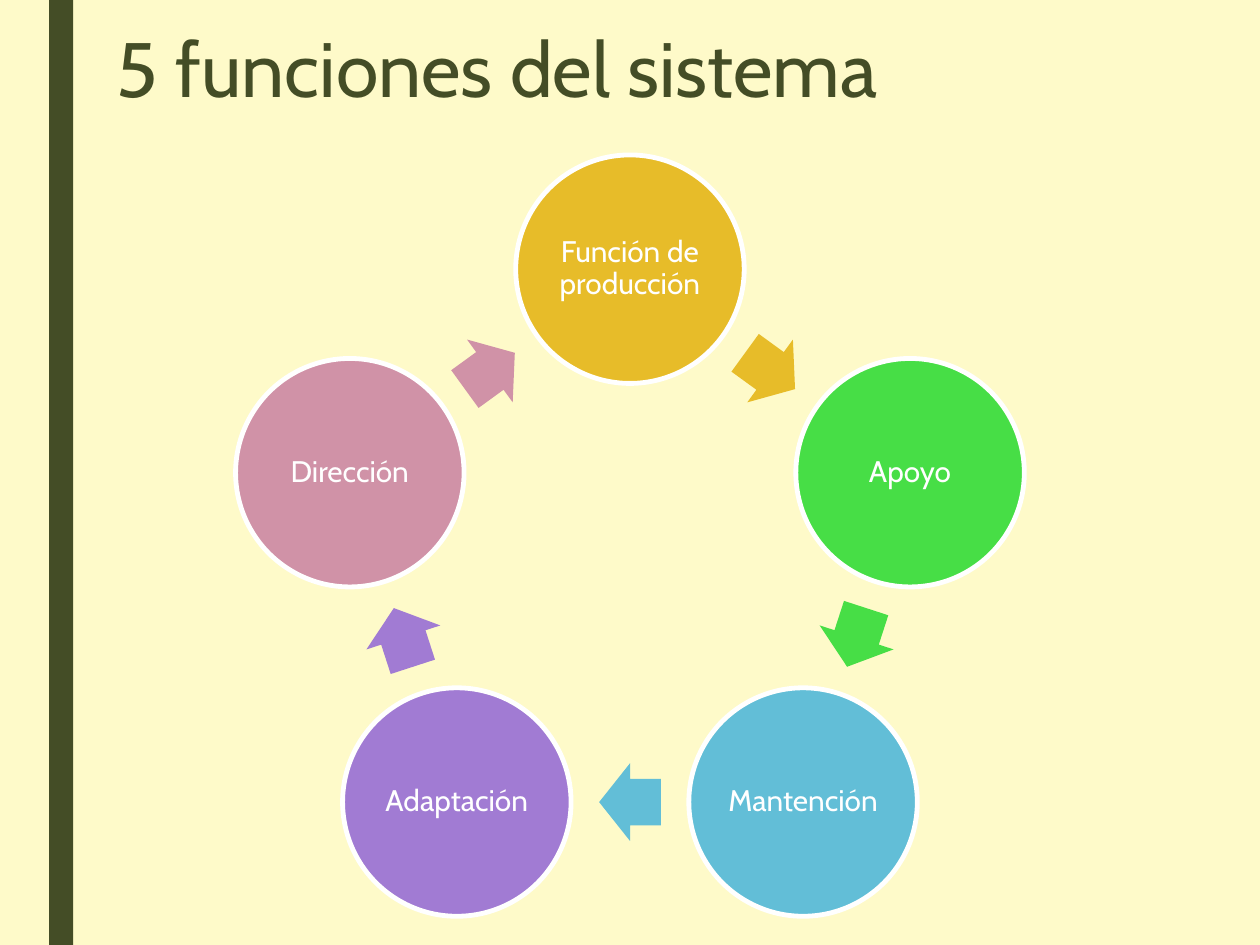
from dataclasses import dataclass
from math import cos, radians, sin

from pptx import Presentation
from pptx.dml.color import RGBColor
from pptx.enum.shapes import MSO_SHAPE as Preset
from pptx.enum.text import MSO_ANCHOR as Anchor, PP_ALIGN as Align
from pptx.util import Inches, Pt

COLORS = {
    "cream": "FEFAC9",
    "olive": "444D26",
    "white": "FFFFFF",
    "gold": "E7BC29",
    "green": "47DE46",
    "blue": "62BED7",
    "purple": "A17BD3",
    "pink": "D092A7",
}
FUNCTIONS = [
    ("Función de producción", "gold"),
    ("Apoyo", "green"),
    ("Mantención", "blue"),
    ("Adaptación", "purple"),
    ("Dirección", "pink"),
]


@dataclass
class Box:
    left: float
    top: float
    width: float
    height: float

    def percent(self, left, top, width, height):
        across, down = self.width / 100, self.height / 100
        return Box(self.left + left * across, self.top + top * down,
                   width * across, height * down)

    def place(self):
        return [Inches(length) for length in (self.left, self.top, self.width, self.height)]


def centred(x, y, width, height):
    return Box(x - width / 2, y - height / 2, width, height)


def rgb(name):
    return RGBColor.from_string(COLORS[name])


def write_text(shape, text, size, color, align=Align.LEFT, anchor=Anchor.TOP,
               spacing=0.9, inset_x=0.1, inset_y=0.05):
    frame = shape.text_frame
    frame.word_wrap = True
    frame.vertical_anchor = anchor
    frame.margin_left = frame.margin_right = Inches(inset_x)
    frame.margin_top = frame.margin_bottom = Inches(inset_y)
    paragraph = frame.paragraphs[0]
    paragraph.alignment = align
    paragraph.line_spacing = spacing
    run = paragraph.add_run()
    run.text = text
    run.font.name = "Cabin"
    run.font.size = Pt(size)
    run.font.color.rgb = rgb(color)


def add_filled(slide, preset, box, fill, outline=None):
    shape = slide.shapes.add_shape(preset, *box.place())
    shape.shadow.inherit = False
    shape.fill.solid()
    shape.fill.fore_color.rgb = rgb(fill)
    if outline:
        shape.line.color.rgb = rgb(outline)
        shape.line.width = Pt(2.75)
    else:
        shape.line.fill.background()
    return shape


def add_side_band(slide, box):
    add_filled(slide, Preset.RECTANGLE, box, "olive")


def add_title(slide, box, text):
    title = slide.shapes.add_textbox(*box.place())
    write_text(title, text, size=44, color="olive", spacing=0.89)


def add_cycle(slide, box, functions):
    step = 360 / len(functions)
    diameter = 0.3 * box.height
    radius = (box.width - diameter) / 2 / sin(radians(step))
    centre_x = box.left + box.width / 2
    centre_y = box.top + diameter / 2 + radius
    arrow_distance = radius * cos(radians(step / 2))

    def on_ring(turn, distance):
        return (centre_x + distance * sin(radians(turn)),
                centre_y - distance * cos(radians(turn)))

    for index, (label, color) in enumerate(functions):
        turn = index * step
        circle_box = centred(*on_ring(turn, radius), diameter, diameter)
        circle = add_filled(slide, Preset.OVAL, circle_box, color, outline="white")
        write_text(circle, label, size=17, color="white", align=Align.CENTER,
                   anchor=Anchor.MIDDLE, inset_x=0.02, inset_y=0.02)

        heading = turn + step / 2
        arrow_box = centred(*on_ring(heading, arrow_distance),
                            0.27 * diameter, 0.34 * diameter)
        arrow = add_filled(slide, Preset.RIGHT_ARROW, arrow_box, color)
        arrow.adjustments[0] = 0.6
        arrow.adjustments[1] = 0.5
        arrow.rotation = heading


def main():
    deck = Presentation()
    page = Box(0, 0, 10, 7.5)
    deck.slide_width, deck.slide_height = Inches(page.width), Inches(page.height)
    slide = deck.slides.add_slide(deck.slide_layouts[6])
    slide.background.fill.solid()
    slide.background.fill.fore_color.rgb = rgb("cream")

    add_side_band(slide, page.percent(3.9, 0, 1.9, 100))
    add_title(slide, page.percent(8.3, 2.67, 78.8, 21.6), "5 funciones del sistema")
    add_cycle(slide, page.percent(18.7, 16.4, 62.6, 80.6), FUNCTIONS)
    deck.save("out.pptx")


if __name__ == "__main__":
    main()
